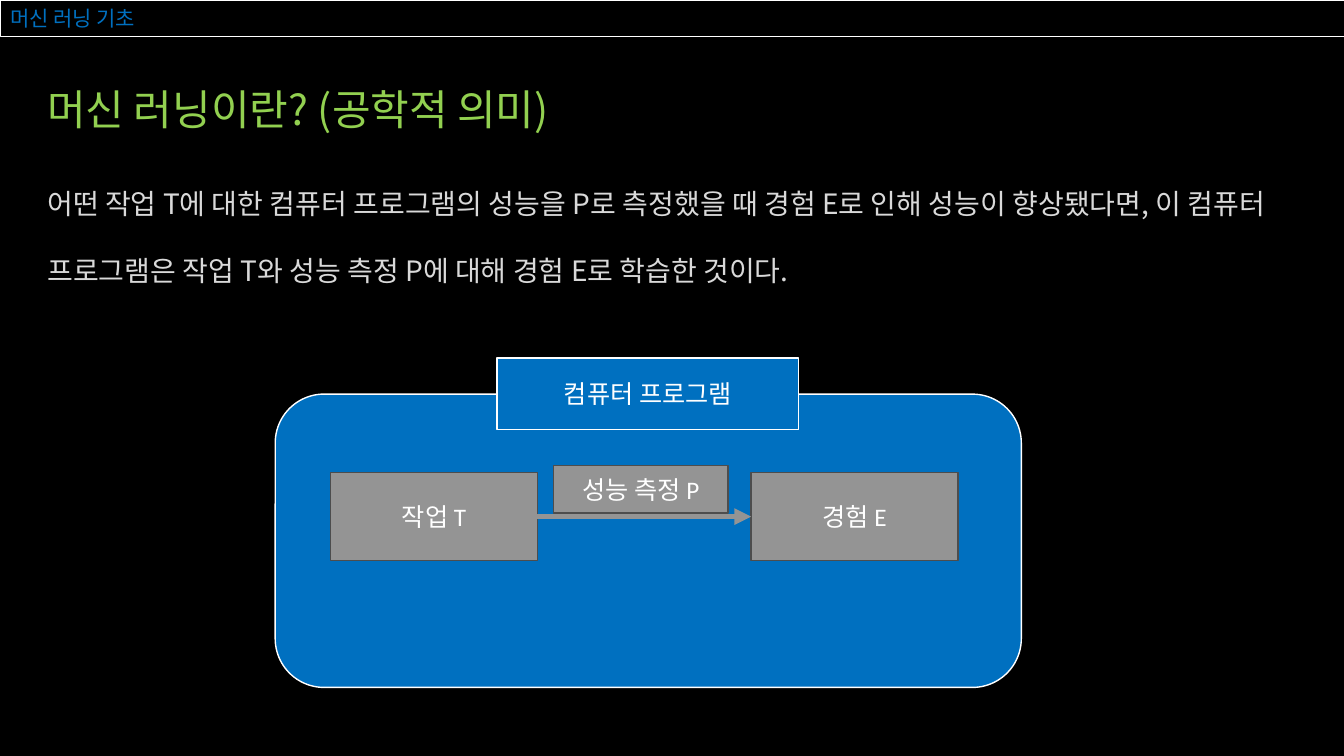
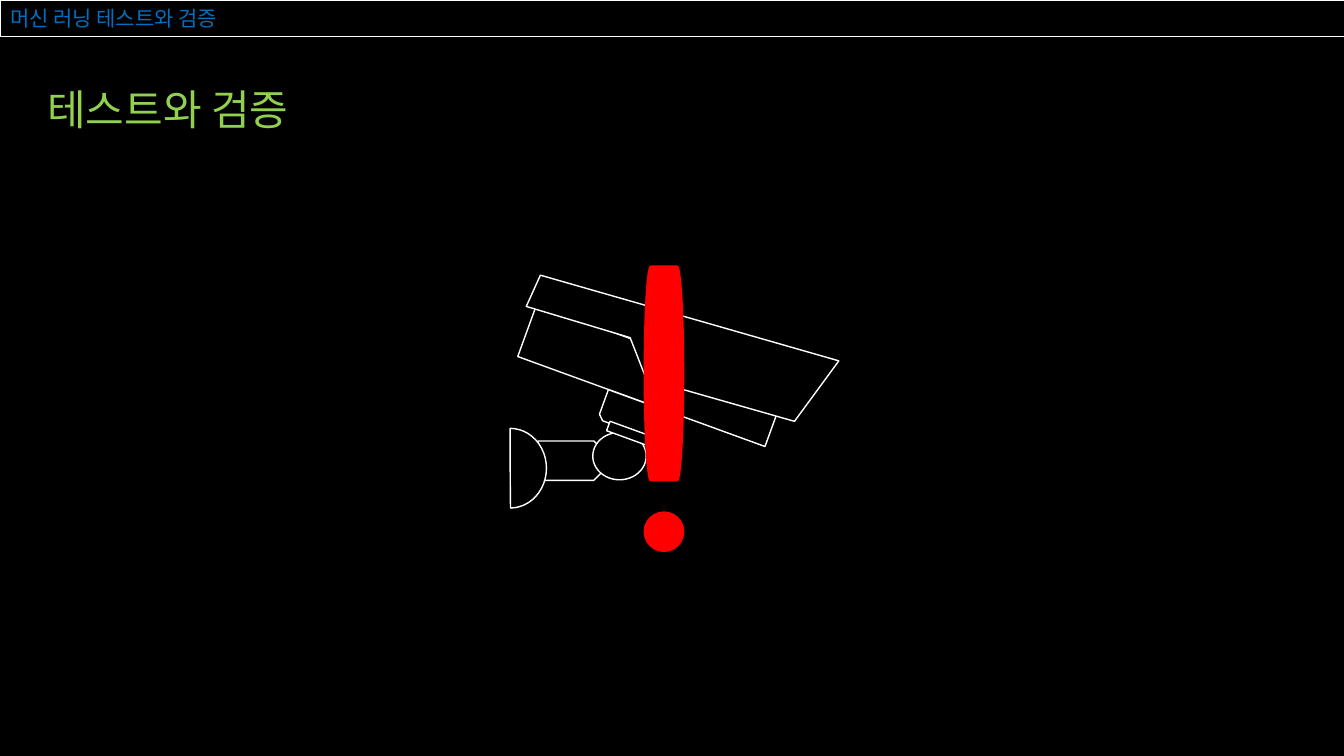
"""Build two dark slides on machine learning basics and testing."""
from dataclasses import dataclass
from typing import Any, NamedTuple

from lxml.etree import SubElement
from pptx import Presentation
from pptx.dml.color import RGBColor
from pptx.enum.shapes import MSO_CONNECTOR, MSO_SHAPE
from pptx.enum.text import MSO_ANCHOR, MSO_AUTO_SIZE, PP_ALIGN
from pptx.oxml.ns import qn
from pptx.util import Inches, Pt


@dataclass(frozen=True)
class Theme:
    black: str = "000000"
    white: str = "FFFFFF"
    blue: str = "0070C0"
    green: str = "92D050"
    pale: str = "D9D9D9"
    gray: str = "949494"
    dark: str = "4D4D4D"
    red: str = "FF0000"
    sans: str = "Noto Sans CJK KR"
    label: str = "Calibri"
    band: int = 15
    head: int = 30
    body: int = 20
    small: int = 18


THEME = Theme()
WIDE, HIGH = 13.33, 7.5


class Style(NamedTuple):
    size: int
    color: str
    font: str = THEME.sans
    align: Any = PP_ALIGN.LEFT
    anchor: Any = MSO_ANCHOR.TOP
    space: float = 1.0


class Box(NamedTuple):
    kind: Any
    left: float
    top: float
    width: float
    height: float
    fill: str = THEME.black
    line: str = THEME.white
    text: str = ""
    turn: float = 0
    flip: str = ""
    adjust: tuple[float, ...] = ()


BAND = Style(THEME.band, THEME.blue, anchor=MSO_ANCHOR.BOTTOM, space=0.9)
HEAD = Style(THEME.head, THEME.green, space=0.9)
BODY = Style(THEME.body, THEME.pale, space=2.0)
LABEL = Style(THEME.small, THEME.white, THEME.label, PP_ALIGN.CENTER, MSO_ANCHOR.MIDDLE)


def apply(target: Any, values: dict[str, Any]) -> None:
    for name, value in values.items():
        setattr(target, name, value)


def write(shape: Any, text: str, style: Style) -> None:
    frame = shape.text_frame
    apply(frame, {"word_wrap": True, "auto_size": MSO_AUTO_SIZE.NONE,
                  "vertical_anchor": style.anchor})
    para = frame.paragraphs[0]
    apply(para, {"alignment": style.align, "line_spacing": style.space})
    run = para.add_run()
    run.text = text
    apply(run.font, {"size": Pt(style.size), "name": style.font})
    run.font.color.rgb = RGBColor.from_string(style.color)
    SubElement(run.font._element, qn("a:ea")).set("typeface", THEME.sans)


def place(shape: Any, *area: float) -> None:
    names = ("left", "top", "width", "height")
    apply(shape, dict(zip(names, map(Inches, area))))


def stroke(shape: Any, color: str, width: float = 1) -> None:
    shape.line.color.rgb = RGBColor.from_string(color)
    shape.line.width = Pt(width)


def paint(shape: Any, fill: str, line: str) -> None:
    shape.shadow.inherit = False
    shape.fill.solid()
    shape.fill.fore_color.rgb = RGBColor.from_string(fill)
    stroke(shape, line)


def draw(group: Any, box: Box) -> None:
    area = map(Inches, (box.left, box.top, box.width, box.height))
    shape = group.shapes.add_shape(box.kind, *area)
    paint(shape, box.fill, box.line)
    shape.rotation = box.turn
    for axis in box.flip:
        shape._element.spPr.xfrm.set(f"flip{axis}", "1")
    for index, value in enumerate(box.adjust):
        shape.adjustments[index] = value
    if box.text:
        write(shape, box.text, LABEL)


def note(slide: Any, text: str, style: Style, *area: float) -> None:
    write(slide.shapes.add_textbox(*map(Inches, area)), text, style)


def arrow(group: Any, start: float, end: float, level: float) -> None:
    ends = map(Inches, (start, level, end, level))
    line = group.shapes.add_connector(MSO_CONNECTOR.STRAIGHT, *ends)
    stroke(line, THEME.gray, 4)
    SubElement(line.line._get_or_add_ln(), qn("a:tailEnd")).set("type", "triangle")
    SubElement(line._element.spPr, qn("a:effectLst"))


def outline(group: Any, points: list[tuple[float, float]]) -> None:
    spots = [(Inches(x), Inches(y)) for x, y in points]
    pen = group.shapes.build_freeform(*spots[0])
    pen.add_line_segments(spots[1:], close=True)
    paint(pen.convert_to_shape(), THEME.black, THEME.white)


def start(deck: Any, band: str, head: str) -> Any:
    slide = deck.slides.add_slide(deck.slide_layouts[5])
    slide.background.fill.solid()
    slide.background.fill.fore_color.rgb = RGBColor.from_string(THEME.black)
    title = slide.shapes.title
    place(title, 0, 0, WIDE, 0.36)
    stroke(title, THEME.white, 0.5)
    write(title, band, BAND)
    note(slide, head, HEAD, 0.37, 0.84, 11.73, 0.41)
    return slide


def meaning(deck: Any) -> None:
    slide = start(deck, "머신 러닝 기초", "머신 러닝이란? (공학적 의미)")
    note(slide, "어떤 작업 T에 대한 컴퓨터 프로그램의 성능을 P로 측정했을 때 "
         "경험 E로 인해 성능이 향상됐다면, 이 컴퓨터 프로그램은 작업 T와 "
         "성능 측정 P에 대해 경험 E로 학습한 것이다.", BODY, 0.37, 1.47, 12.68, 1.5)
    group = slide.shapes.add_group_shape()
    rect, gray, edge = MSO_SHAPE.RECTANGLE, THEME.gray, THEME.dark
    task, goal, top, width, height = 3.28, 7.45, 4.69, 2.05, 0.87
    draw(group, Box(MSO_SHAPE.ROUNDED_RECTANGLE, 2.73, 3.91, 7.4, 2.91, THEME.blue))
    for left, text in ((task, "작업 T"), (goal, "경험 E")):
        draw(group, Box(rect, left, top, width, height, gray, edge, text))
    arrow(group, task + width, goal, top + height / 2)
    draw(group, Box(rect, 5.49, 4.62, 1.73, 0.47, gray, edge, "성능 측정 P"))
    draw(group, Box(rect, 4.93, 3.55, 2.99, 0.71, THEME.blue, text="컴퓨터 프로그램"))


def testing(deck: Any) -> None:
    slide = start(deck, "머신 러닝 테스트와 검증", "테스트와 검증")
    camera = slide.shapes.add_group_shape()
    rect, snip = MSO_SHAPE.RECTANGLE, MSO_SHAPE.SNIP_2_SAME_RECTANGLE
    tilt = 20
    under = (
        Box(snip, 5.48, 4.23, 0.39, 0.68, turn=90, flip="H", adjust=(0.32, 0)),
        Box(rect, 5.15, 3.45, 2.61, 0.55, turn=tilt, flip="H"),
        Box(snip, 5.96, 3.98, 0.72, 0.31, turn=tilt, flip="HV"),
    )
    over = (
        Box(MSO_SHAPE.OVAL, 5.88, 4.29, 0.53, 0.47, flip="H"),
        Box(rect, 6.02, 4.25, 0.43, 0.1, turn=tilt, flip="H"),
        Box(MSO_SHAPE.PIE, 4.7, 4.25, 0.72, 0.79, flip="H", adjust=(54.28, 162)),
    )
    for box in under:
        draw(camera, box)
    outline(camera, [(8.32, 3.58), (7.88, 4.18), (6.41, 3.76),
                     (6.25, 3.35), (5.22, 3.04), (5.36, 2.73)])
    for box in over:
        draw(camera, box)
    mark = slide.shapes.add_group_shape()
    for kind, top, height in ((MSO_SHAPE.FLOWCHART_CONNECTOR, 5.08, 0.39),
                              (MSO_SHAPE.FLOWCHART_TERMINATOR, 2.64, 2.13)):
        draw(mark, Box(kind, 6.39, top, 0.39, height, THEME.red, THEME.red))


def main() -> None:
    deck = Presentation()
    apply(deck, {"slide_width": Inches(WIDE), "slide_height": Inches(HIGH)})
    meaning(deck)
    testing(deck)
    deck.save("out.pptx")


if __name__ == "__main__":
    main()
